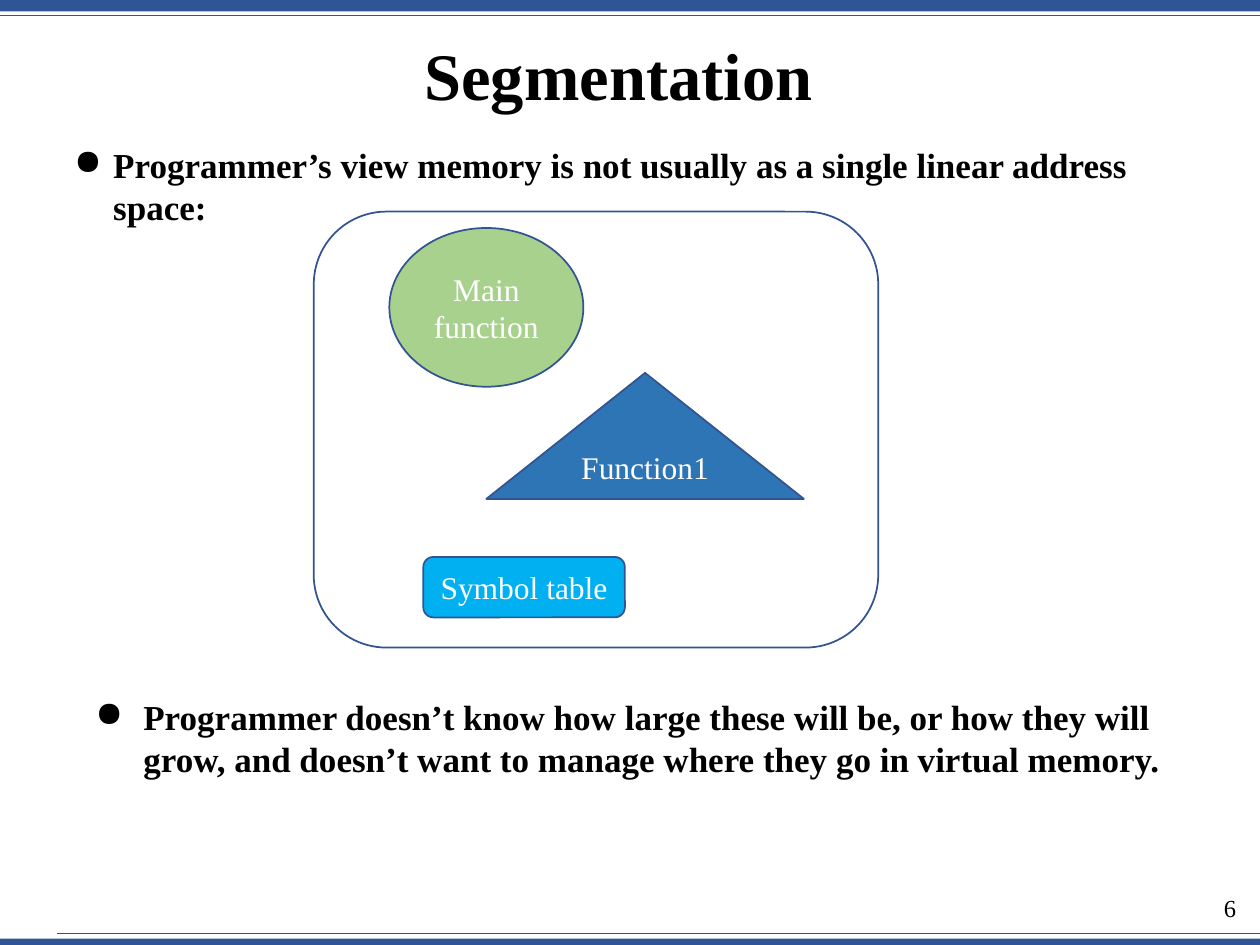
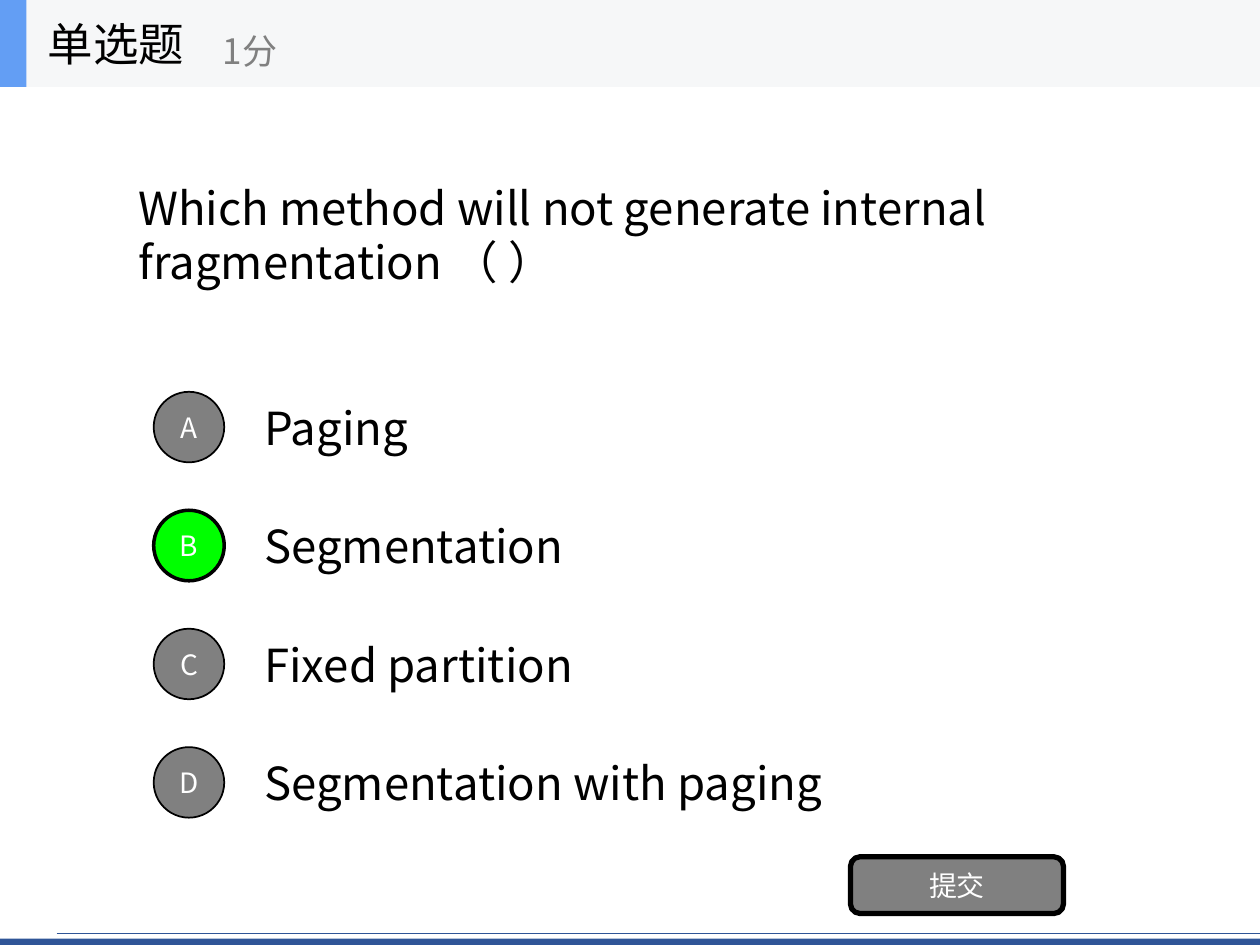
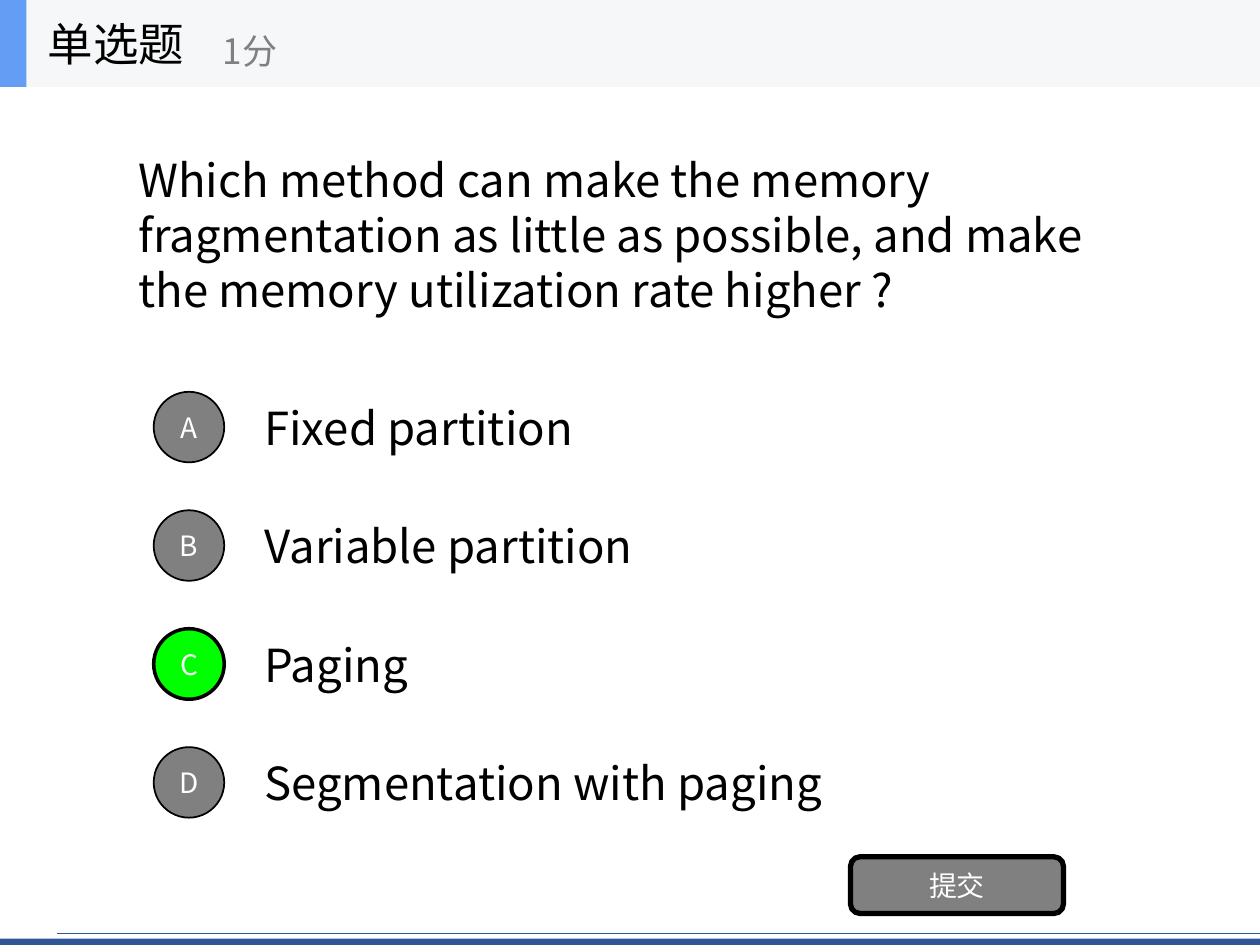
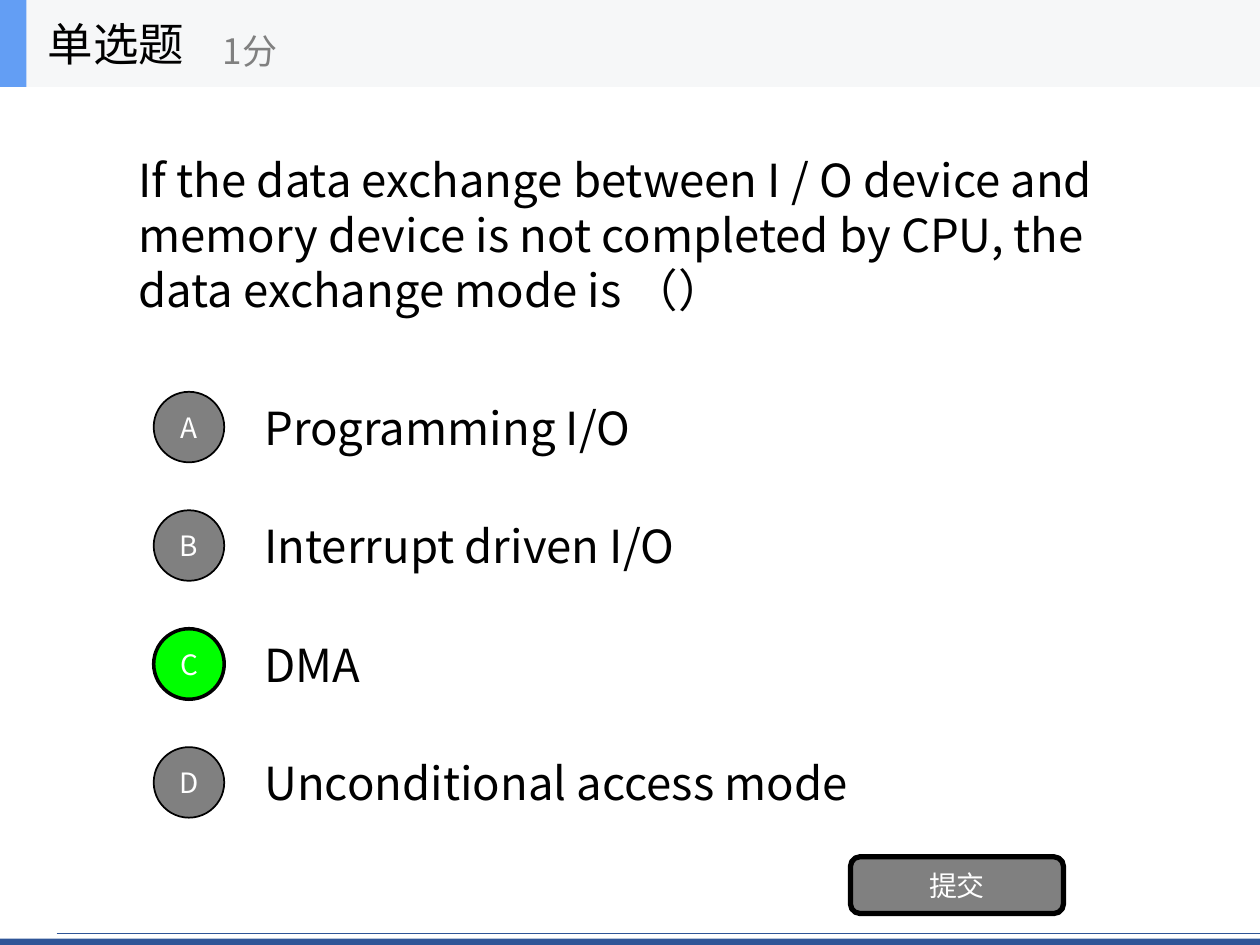
"""Build four lecture slides: one on segmentation and three quiz questions."""
from dataclasses import dataclass
from typing import Optional

from lxml.etree import SubElement
from pptx import Presentation
from pptx.dml.color import RGBColor
from pptx.enum.shapes import MSO_CONNECTOR as Link, MSO_SHAPE as Preset
from pptx.enum.text import MSO_ANCHOR as Anchor, PP_ALIGN as Align
from pptx.oxml.ns import qn
from pptx.util import Inches, Pt

COLORS = {
    "band": "2F5597", "outline": "325491", "black": "000000", "white": "FFFFFF",
    "green": "A9D18E", "blue": "2E75B6", "sky": "00B0F0", "gray": "808080",
    "correct": "00FF00", "header": "F6F7F8", "accent": "639EF4",
}
SERIF = "Times New Roman"
SANS = "Noto Sans CJK SC"
WIDTH, HEIGHT = 10, 7.5
OPTION_TOP, OPTION_STEP, OPTION_HEIGHT, CIRCLE = 3.04, 0.94, 0.7, 0.56


@dataclass(frozen=True)
class Frame:
    left: float
    top: float
    width: float
    height: float

    def lengths(self) -> tuple:
        return tuple(Inches(n) for n in (self.left, self.top, self.width, self.height))


@dataclass(frozen=True)
class Figure:
    preset: Preset
    frame: Frame
    fill: Optional[str]
    label: str = ""


@dataclass(frozen=True)
class Question:
    prompt: str
    options: tuple
    answer: str


FIGURES = (
    Figure(Preset.OVAL, Frame(3.09, 1.81, 1.54, 1.26), "green", "Main function"),
    Figure(Preset.ISOSCELES_TRIANGLE, Frame(3.86, 2.96, 2.52, 1), "blue", "Function1"),
    Figure(Preset.ROUNDED_RECTANGLE, Frame(3.36, 4.42, 1.6, 0.48), "sky", "Symbol table"),
    Figure(Preset.ROUNDED_RECTANGLE, Frame(2.49, 1.68, 4.48, 3.46), None),
)
QUESTIONS = (
    Question("Which method will not generate internal fragmentation （ ）",
             ("Paging", "Segmentation", "Fixed partition", "Segmentation with paging"), "B"),
    Question("Which method can make the memory fragmentation as little as possible, "
             "and make the memory utilization rate higher ?",
             ("Fixed partition", "Variable partition", "Paging", "Segmentation with paging"), "C"),
    Question("If the data exchange between I / O device and memory device is not "
             "completed by CPU, the data exchange mode is （）",
             ("Programming I/O", "Interrupt driven I/O", "DMA", "Unconditional access mode"), "C"),
)


def rgb(name: str) -> RGBColor:
    return RGBColor.from_string(COLORS[name])


def write(box, text: str, *, size: float, font: str = SANS, color: str = "black",
          bold: bool = False, align: Align = Align.LEFT, anchor: Anchor = Anchor.MIDDLE,
          spacing: Optional[float] = None, hanging: float = 0) -> None:
    frame = box.text_frame
    frame.word_wrap = True
    frame.vertical_anchor = anchor
    para = frame.paragraphs[0]
    para.alignment = align
    if spacing:
        para.line_spacing = spacing
    if hanging:
        props = para._p.get_or_add_pPr()
        props.set("marL", str(Inches(hanging)))
        props.set("indent", str(-Inches(hanging)))
        SubElement(props, qn("a:buChar")).set("char", "●")
    span = para.add_run()
    span.text = text
    span.font.size = Pt(size)
    span.font.name = font
    span.font.bold = bold
    span.font.color.rgb = rgb(color)
    SubElement(span._r.get_or_add_rPr(), qn("a:ea")).set("typeface", font)


def add_text(shapes, frame: Frame, text: str, **style) -> None:
    write(shapes.add_textbox(*frame.lengths()), text, **style)


def add_figure(shapes, figure: Figure, *, line: Optional[str] = None, weight: float = 1,
               **style) -> None:
    shape = shapes.add_shape(figure.preset, *figure.frame.lengths())
    shape.shadow.inherit = False
    if figure.fill:
        shape.fill.solid()
        shape.fill.fore_color.rgb = rgb(figure.fill)
    else:
        shape.fill.background()
    if line:
        shape.line.color.rgb = rgb(line)
        shape.line.width = Pt(weight)
    else:
        shape.line.fill.background()
    if figure.label:
        write(shape, figure.label, color="white", align=Align.CENTER, **style)


def add_rule(page, left: float, top: float) -> None:
    rule = page.shapes.add_connector(Link.STRAIGHT, Inches(left), Inches(top),
                                     Inches(WIDTH), Inches(top))
    rule.line.color.rgb = rgb("band")
    rule.line.width = Pt(0.5)
    SubElement(rule._element.spPr, qn("a:effectLst"))


def add_page(deck):
    page = deck.slides.add_slide(deck.slide_layouts[6])
    for top, height in ((7.45, 0.05), (0, 0.09)):
        add_figure(page.shapes, Figure(Preset.RECTANGLE, Frame(0, top, WIDTH, height), "band"))
    add_rule(page, 0, 0.12)
    add_rule(page, 0.45, 7.41)
    return page


def add_segmentation(deck) -> None:
    shapes = add_page(deck).shapes
    add_text(shapes, Frame(9.45, 7.04, 0.46, 0.44), "6", size=14, font=SERIF,
             align=Align.RIGHT, anchor=Anchor.TOP)
    add_text(shapes, Frame(0.66, 0, 8.5, 1.25), "Segmentation", size=38, font=SERIF,
             bold=True, align=Align.CENTER, spacing=0.9)
    bullet = dict(size=20, font=SERIF, bold=True, anchor=Anchor.TOP)
    add_text(shapes, Frame(0.66, 5.47, 8.73, 0.77),
             "Programmer doesn’t know how large these will be, or how they will grow, "
             "and doesn’t want to manage where they go in virtual memory.",
             hanging=0.38, **bullet)
    add_text(shapes, Frame(0.49, 1.09, 9.29, 0.44),
             "Programmer’s view memory is not usually as a single linear address space:",
             hanging=0.31, **bullet)
    for figure in FIGURES:
        add_figure(shapes, figure, line="outline", size=18, font=SERIF)


def add_quiz_header(page) -> None:
    shapes = page.shapes.add_group_shape().shapes
    for width, color in ((WIDTH, "header"), (0.21, "accent")):
        add_figure(shapes, Figure(Preset.RECTANGLE, Frame(0, 0, width, 0.69), color))
    add_text(shapes, Frame(0.28, 0, 2.08, 0.69), "单选题", size=26)
    add_text(shapes, Frame(1.67, 0.12, 2.5, 0.56), "1分", size=20, color="gray")


def add_question(deck, question: Question) -> None:
    page = add_page(deck)
    add_text(page.shapes, Frame(1, 0.69, 8, 2.34), question.prompt, size=26)
    for index, (letter, option) in enumerate(zip("ABCD", question.options)):
        top = OPTION_TOP + index * OPTION_STEP
        correct = letter == question.answer
        add_text(page.shapes, Frame(2, top, 7, OPTION_HEIGHT), option, size=26)
        circle = Frame(1.22, top + (OPTION_HEIGHT - CIRCLE) / 2, CIRCLE, CIRCLE)
        add_figure(page.shapes,
                   Figure(Preset.OVAL, circle, "correct" if correct else "gray", letter),
                   line="black", weight=2 if correct else 1, size=16)
    submit = Figure(Preset.ROUNDED_RECTANGLE, Frame(6.75, 6.8, 1.69, 0.45), "gray", "提交")
    add_figure(page.shapes, submit, line="black", weight=3, size=16)
    add_quiz_header(page)


def main() -> None:
    deck = Presentation()
    deck.slide_width, deck.slide_height = Inches(WIDTH), Inches(HEIGHT)
    add_segmentation(deck)
    for question in QUESTIONS:
        add_question(deck, question)
    deck.save("out.pptx")


if __name__ == "__main__":
    main()
